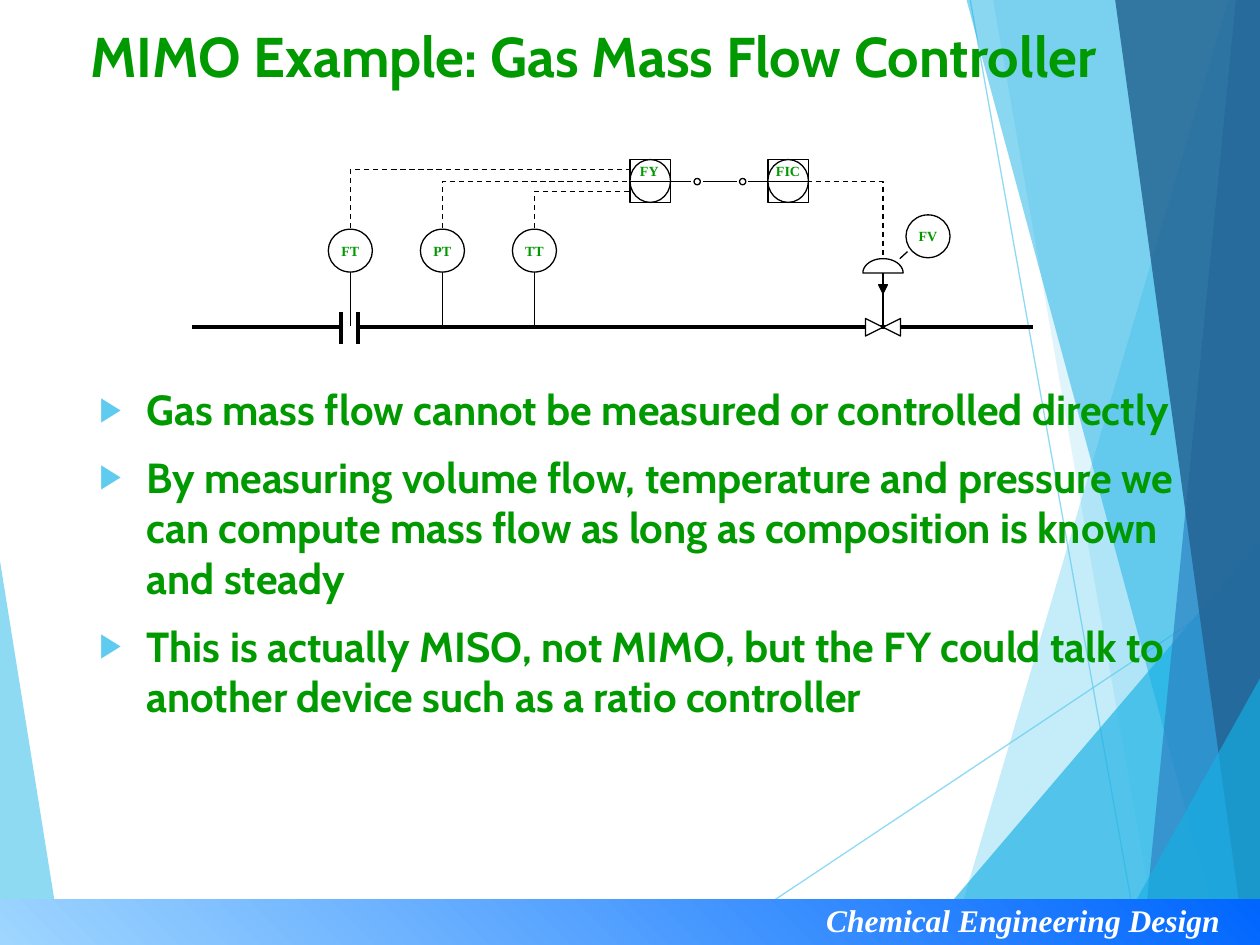
import math
from dataclasses import dataclass

from lxml import etree
from pptx import Presentation
from pptx.dml.color import RGBColor
from pptx.enum.dml import MSO_LINE
from pptx.enum.shapes import MSO_CONNECTOR, MSO_SHAPE
from pptx.enum.text import MSO_ANCHOR, PP_ALIGN
from pptx.oxml.ns import qn
from pptx.util import Pt

STRAIGHT = MSO_CONNECTOR.STRAIGHT
RECTANGLE = MSO_SHAPE.RECTANGLE
OVAL = MSO_SHAPE.OVAL
VALVE_BODY = MSO_SHAPE.FLOWCHART_COLLATE
TRIANGLE = MSO_SHAPE.ISOSCELES_TRIANGLE
DASH = MSO_LINE.DASH
MIDDLE = MSO_ANCHOR.MIDDLE
CENTER = PP_ALIGN.CENTER


@dataclass(frozen=True)
class Theme:
    green: str = "009900"
    black: str = "000000"
    white: str = "FFFFFF"
    sky: str = "5FCBEF"
    cyan: str = "17B0E4"
    blue: str = "2E83C3"
    navy: str = "236292"
    footer_start: str = "9FD6FF"
    footer_end: str = "0066FF"
    heading_font: str = "Cabin"
    label_font: str = "Times New Roman"
    title_size: float = 32
    body_size: float = 24
    footer_size: float = 18
    label_size: float = 8
    thin: float = 0.75
    thick: float = 2.25


THEME = Theme()
PIPE_Y = 187
SIGNAL_Y = 103.8
BUBBLE_WIDTH, BUBBLE_HEIGHT = 25.2, 24.5
PANEL_WIDTH, PANEL_HEIGHT = 23.2, 24.5
VALVE_X = 504.6

# Corner points, colour and opacity in percent, from back to front.
FACETS = [
    ([(-0.7, 316), (35.3, 540.5), (-0.7, 540)], THEME.sky, 70),
    ([(702, 0), (543, 540), (721, 540.5), (721, 0.5)], THEME.sky, 36),
    ([(567.4, -0.5), (661.7, 540), (720.7, 540), (720.7, -0.5)], THEME.sky, 20),
    ([(522.7, 540), (720, 309), (720.7, 540)], THEME.cyan, 66),
    ([(552.2, -0.5), (698.4, 540), (720.7, 539.5), (720.7, -0.5)], THEME.cyan, 50),
    ([(706.3, -0.5), (653, 540), (720.7, 540), (720, -0.5)], THEME.blue, 70),
    ([(637.2, -0.5), (711.4, 540), (721.4, 540), (720, -0.5)], THEME.navy, 82),
    ([(635, 540), (721.4, 385.2), (721.4, 539.5)], THEME.cyan, 66),
]
BULLETS = [
    "Gas mass flow cannot be measured or controlled directly",
    "By measuring volume flow, temperature and pressure we can compute mass flow "
    "as long as composition is known and steady",
    "This is actually MISO, not MIMO, but the FY could talk to another device "
    "such as a ratio controller",
]


def set_opacity(properties, percent):
    color = next(properties.iter(qn("a:srgbClr")))
    etree.SubElement(color, qn("a:alpha"), val=str(percent * 1000))


def set_line(line, color=THEME.black, width=THEME.thin):
    line.color.rgb = RGBColor.from_string(color)
    line.width = Pt(width)


def set_fill(shape, color):
    shape.fill.solid()
    shape.fill.fore_color.rgb = RGBColor.from_string(color)


def style_text(paragraph, font_name, size, color=THEME.green, italic=False):
    font = paragraph.font
    font.name, font.size = font_name, Pt(size)
    font.bold, font.italic = True, italic
    font.color.rgb = RGBColor.from_string(color)


def add_line(slide, start, end, color=THEME.black, width=THEME.thin, opacity=100):
    connector = slide.shapes.add_connector(STRAIGHT, *map(Pt, start + end))
    set_line(connector.line, color, width)
    properties = connector._element.spPr
    if opacity < 100:
        set_opacity(properties, opacity)
    etree.SubElement(properties, qn("a:effectLst"))


def add_symbol(slide, kind, left, top, width, height, fill=THEME.white):
    shape = slide.shapes.add_shape(kind, *map(Pt, (left, top, width, height)))
    shape.shadow.inherit = False
    set_fill(shape, fill)
    set_line(shape.line)
    return shape


def add_outline(slide, points, close=False):
    vertices = [(Pt(x), Pt(y)) for x, y in points]
    builder = slide.shapes.build_freeform(*vertices[0])
    builder.add_line_segments(vertices[1:], close=close)
    shape = builder.convert_to_shape()
    shape.shadow.inherit = False
    return shape


def add_text(slide, text, left, top, width, height):
    box = slide.shapes.add_textbox(*map(Pt, (left, top, width, height)))
    box.text_frame.word_wrap = True
    box.text_frame.text = text
    return box.text_frame


def add_facet(slide, points, color, opacity):
    facet = add_outline(slide, points, close=True)
    set_fill(facet, color)
    facet.line.fill.background()
    set_opacity(facet._element.spPr, opacity)


def add_signal(slide, points):
    signal = add_outline(slide, points)
    signal.fill.background()
    set_line(signal.line)
    signal.line.dash_style = DASH


def add_bubble(slide, label, center_x, top):
    """Draw a field instrument: a circle with its tag."""
    bubble = add_symbol(slide, OVAL, center_x - BUBBLE_WIDTH / 2, top,
                        BUBBLE_WIDTH, BUBBLE_HEIGHT)
    frame = bubble.text_frame
    frame.text = label
    frame.word_wrap = False
    frame.vertical_anchor = MIDDLE
    paragraph = frame.paragraphs[0]
    paragraph.alignment = CENTER
    style_text(paragraph, THEME.label_font, THEME.label_size)


def add_panel_instrument(slide, label, left, line_start, line_end, label_left):
    """Draw a shared-display instrument: a circle in a square, split by a line."""
    for kind in (RECTANGLE, OVAL):
        add_symbol(slide, kind, left, 91.2, PANEL_WIDTH, PANEL_HEIGHT)
    add_line(slide, (line_start, SIGNAL_Y), (line_end, SIGNAL_Y))
    frame = add_text(slide, label, label_left, 89.6, 29.5, 17.3)
    style_text(frame.paragraphs[0], THEME.label_font, THEME.label_size)


def add_backdrop(slide):
    left_facet, *right_facets = FACETS
    add_facet(slide, *left_facet)
    for start, end in (((404, 540), (720.7, 329)), ((554.4, 0), (650.9, 540))):
        add_line(slide, start, end, THEME.sky, opacity=70)
    for facet in right_facets:
        add_facet(slide, *facet)


def add_footer(slide):
    band = add_symbol(slide, RECTANGLE, 0, 514, 720, 26)
    band.line.fill.background()
    band.fill.gradient()
    band.fill.gradient_angle = 45
    for stop, color in zip(band.fill.gradient_stops, (THEME.footer_start, THEME.footer_end)):
        stop.color.rgb = RGBColor.from_string(color)
    frame = add_text(slide, "Chemical Engineering Design", 465, 511.2, 250, 28.8)
    style_text(frame.paragraphs[0], THEME.label_font, THEME.footer_size, THEME.white, italic=True)


def add_bullets(slide):
    frame = add_text(slide, "\n".join(BULLETS), 49.7, 215.6, 648, 231.8)
    for index, paragraph in enumerate(frame.paragraphs):
        properties = paragraph._p.get_or_add_pPr()
        properties.set("marL", str(Pt(27)))
        properties.set("indent", str(Pt(-27)))
        color = etree.SubElement(properties, qn("a:buClr"))
        etree.SubElement(color, qn("a:srgbClr"), val=THEME.sky)
        etree.SubElement(properties, qn("a:buSzPct"), val="80000")
        etree.SubElement(properties, qn("a:buFont"), typeface=THEME.label_font)
        etree.SubElement(properties, qn("a:buChar"), char="▶")
        paragraph.space_before = Pt(10 if index else 0)
        style_text(paragraph, THEME.heading_font, THEME.body_size)


def add_control_valve(slide):
    add_symbol(slide, VALVE_BODY, VALVE_X - 5, PIPE_Y - 10, 10, 20).rotation = 270
    add_line(slide, (VALVE_X, 186), (VALVE_X, 155.8))
    angles = [math.pi * step / 24 for step in range(25)]
    dome = add_outline(slide, [(VALVE_X - 11.5 * math.cos(angle), 156 - 8.2 * math.sin(angle))
                               for angle in angles], close=True)
    set_fill(dome, THEME.white)
    set_line(dome.line)
    add_symbol(slide, TRIANGLE, VALVE_X - 2.5, 162.7, 5, 5, THEME.black).rotation = 180
    add_bubble(slide, "FV", 530.3, 122.8)
    add_line(slide, (514.2, 147.8), (518.6, 143.8))


def add_flow_diagram(slide):
    for start, end in ((109.6, 195), (205, 590.4)):
        add_line(slide, (start, PIPE_Y), (end, PIPE_Y), width=THEME.thick)
    for x in (195, 204.7):
        add_line(slide, (x, 196.4), (x, 178.4), width=THEME.thick)
    add_control_valve(slide)
    transmitters = (("FT", 97, 359.5), ("PT", SIGNAL_Y, 359.5), ("TT", 109.3, 360))
    for index, (label, signal_y, signal_end) in enumerate(transmitters):
        x = 200.2 + 52.6 * index
        add_line(slide, (x, 186.5), (x, 155.5))
        add_bubble(slide, label, x, 131)
        add_signal(slide, [(x, 130.3), (x, signal_y), (signal_end, signal_y)])
    add_panel_instrument(slide, "FIC", 438.8, 427.7, 462, 436.3)
    add_panel_instrument(slide, "FY", 360, 360, 394.6, 358.6)
    add_signal(slide, [(461, SIGNAL_Y), (VALVE_X, SIGNAL_Y), (VALVE_X, 146.2)])
    add_line(slide, (401.8, SIGNAL_Y), (421.2, SIGNAL_Y))
    for center_x in (398.4, 424.4):
        add_symbol(slide, OVAL, center_x - 1.8, SIGNAL_Y - 1.8, 3.6, 3.6)


def main():
    presentation = Presentation()
    presentation.slide_width, presentation.slide_height = Pt(720), Pt(540)
    slide = presentation.slides.add_slide(presentation.slide_layouts[6])
    add_backdrop(slide)
    add_footer(slide)
    title = add_text(slide, "MIMO Example: Gas Mass Flow Controller", 44.6, 8.6, 628.6, 38.9)
    style_text(title.paragraphs[0], THEME.heading_font, THEME.title_size)
    add_bullets(slide)
    add_flow_diagram(slide)
    presentation.save("out.pptx")


if __name__ == "__main__":
    main()
